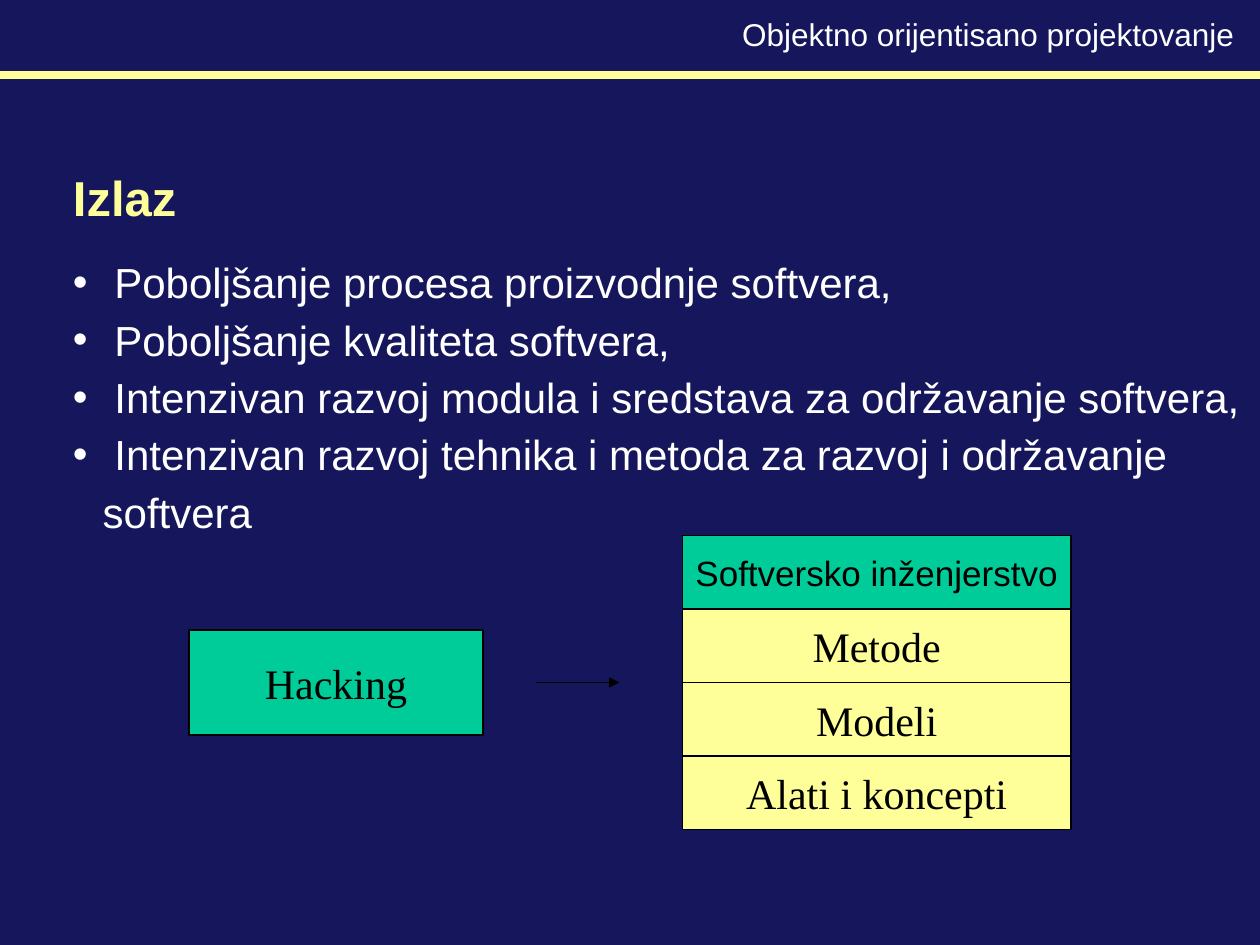
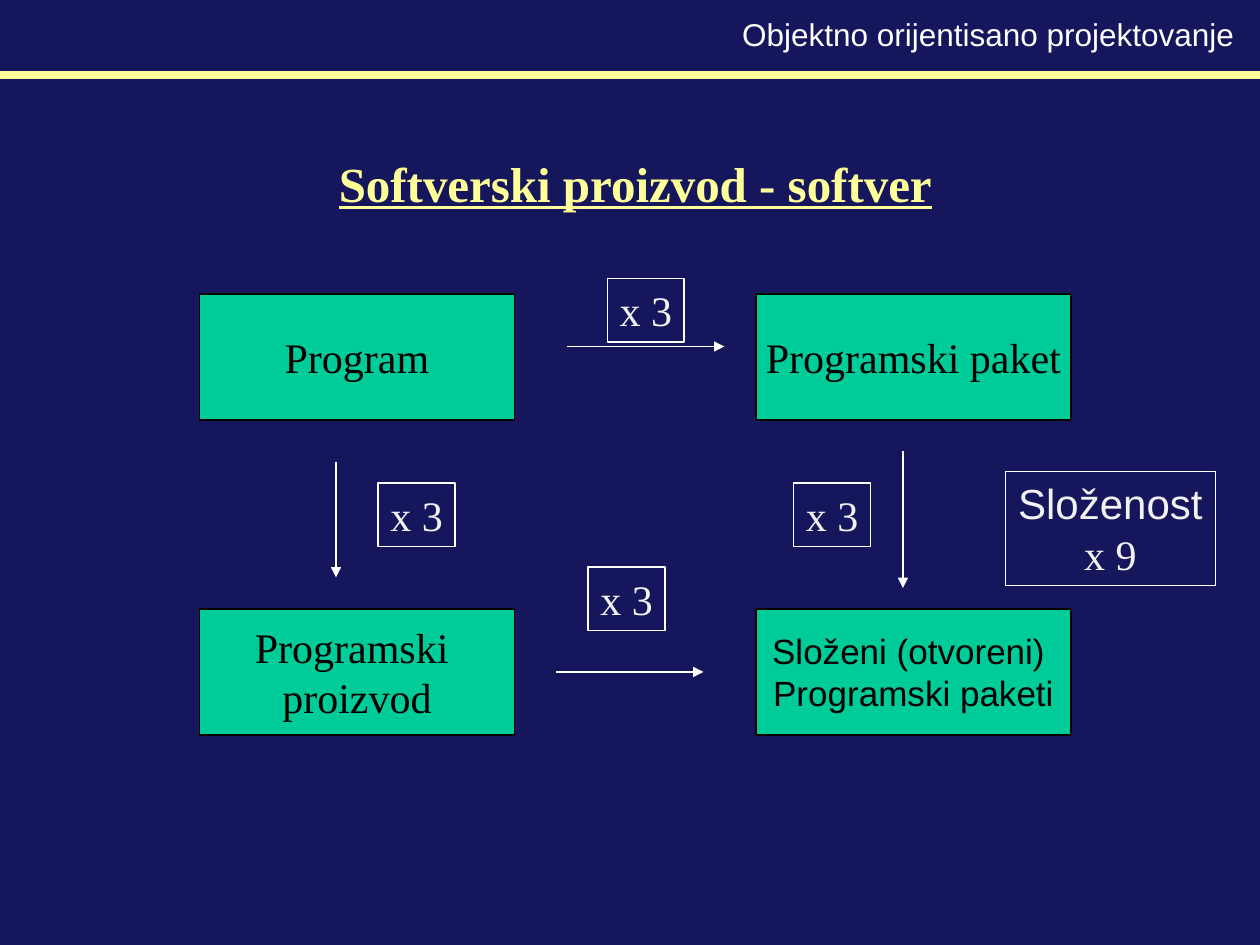
from itertools import product

from lxml import etree
from pptx import Presentation
from pptx.dml.color import RGBColor
from pptx.enum import shapes, text
from pptx.oxml.ns import qn
from pptx.util import Pt

NAVY = RGBColor(0x16, 0x16, 0x5D)
CREAM = RGBColor(0xFF, 0xFF, 0x99)
GREEN = RGBColor(0x00, 0xCC, 0x99)
WHITE = RGBColor(0xFF, 0xFF, 0xFF)
PALE = RGBColor(0xF2, 0xF2, 0xF2)
BLACK = RGBColor(0x00, 0x00, 0x00)
SANS, SERIF = "Arial", "Times New Roman"
LEFT, MID = text.PP_ALIGN.LEFT, text.PP_ALIGN.CENTER
TOP, HALF = text.MSO_ANCHOR.TOP, text.MSO_ANCHOR.MIDDLE
WIDE, HIGH = 720, 540

# Content
COURSE = "Objektno orijentisano projektovanje"
EXIT = "Izlaz"
GOALS = [
    " Poboljšanje procesa proizvodnje softvera,",
    " Poboljšanje kvaliteta softvera,",
    " Intenzivan razvoj modula i sredstava za održavanje softvera,",
    " Intenzivan razvoj tehnika i metoda za razvoj i održavanje softvera",
]
HACK = "Hacking"
FIELD = "Softversko inženjerstvo"
LAYERS = ["Metode", "Modeli", "Alati i koncepti"]

PRODUCT = "Softverski proizvod - softver"
STAGES = [  # row by row: lines, face, size
    (["Program"], SERIF, 24),
    (["Programski paket"], SERIF, 24),
    (["Programski ", "proizvod"], SERIF, 24),
    (["Složeni (otvoreni) ", "Programski paketi"], SANS, 20),
]
STEPS = [  # arrow start, arrow end, corner of its label
    ((324, 198), (414, 198), (347, 159)),
    ((318, 384), (402, 384), (336, 324)),
    ((192, 264), (192, 330), (216, 276)),
    ((516, 258), (516, 336), (453.5, 276)),
]
FACTOR = "x 3"
TOTAL = ["Složenost", "x 9"]


def write(shape, lines, size=24, face=SERIF, color=BLACK, bold=False,
          under=False, align=MID, anchor=HALF, wrap=False, space=None):
    """Fill a shape with paragraphs; face is one font or one font per line."""
    lines = [lines] if isinstance(lines, str) else lines
    faces = [face] * len(lines) if isinstance(face, str) else face
    frame = shape.text_frame
    frame.word_wrap = wrap
    frame.auto_size = text.MSO_AUTO_SIZE.NONE
    frame.vertical_anchor = anchor
    for i, (line, name) in enumerate(zip(lines, faces)):
        para = frame.add_paragraph() if i else frame.paragraphs[0]
        para.alignment = align
        para.space_before = Pt(0)
        para.line_spacing = space
        run = para.add_run()
        run.text = line
        font = run.font
        font.size, font.name, font.bold = Pt(size), name, bold
        font.underline = under
        font.color.rgb = color


def place(shape, x, y, w, h):
    shape.left, shape.top, shape.width, shape.height = map(Pt, (x, y, w, h))
    return shape


def box(slide, spot, lines, fill=None, edge=BLACK, **style):
    shape = slide.shapes.add_shape(shapes.MSO_SHAPE.RECTANGLE, *map(Pt, spot))
    shape.shadow.inherit = False
    if fill is None:
        shape.fill.background()
    else:
        shape.fill.solid()
        shape.fill.fore_color.rgb = fill
    shape.line.color.rgb = edge
    shape.line.width = Pt(0.75)
    write(shape, lines, **style)


def line(slide, start, end, color, width=0.75, arrow=True):
    link = slide.shapes.add_connector(
        shapes.MSO_CONNECTOR.STRAIGHT, *map(Pt, start + end))
    link.line.color.rgb = color
    link.line.width = Pt(width)
    if arrow:
        tail = etree.SubElement(link.line._get_or_add_ln(), qn("a:tailEnd"))
        tail.set("type", "triangle")
    etree.SubElement(link._element.spPr, qn("a:effectLst"))


def start(deck, kind, title, spot, **style):
    """Add a slide with the course header, its rule and a title."""
    slide = deck.slides.add_slide(deck.slide_layouts[kind])
    write(place(slide.shapes.title, *spot), title, size=28, color=CREAM,
          bold=True, anchor=TOP, **style)
    head = slide.shapes.add_textbox(Pt(417), Pt(5), Pt(295), Pt(29))
    write(head, COURSE, size=18, face=SANS, color=WHITE, align=LEFT, anchor=TOP)
    line(slide, (WIDE, 43), (0, 43), CREAM, width=4.5, arrow=False)
    return slide


def outcome(deck):
    slide = start(deck, 1, EXIT, (34.5, 92, 680, 41), face=SANS, align=LEFT)
    body = place(slide.placeholders[1], 34.5, 139, WIDE - 34.5, 165)
    write(body, GOALS, face=SANS, color=WHITE, align=LEFT, anchor=TOP,
          wrap=True, space=1.14)
    for para in body.text_frame.paragraphs:
        props = para._p.get_or_add_pPr()
        props.set("marL", str(Pt(17)))
        props.set("indent", str(-Pt(17)))

    box(slide, (108, 360, 168, 60), HACK, GREEN)
    line(slide, (306, 390), (354, 390), BLACK)
    x, y, w, h = 390, 306, 222, 42
    box(slide, (x, y, w, h), FIELD, GREEN, size=20, face=SANS)
    for i, layer in enumerate(LAYERS, 1):
        box(slide, (x, y + i * h, w, h), layer, CREAM)


def growth(deck):
    slide = start(deck, 5, PRODUCT, (186, 84, 354, 41), under=True)
    for (y, x), (lines, face, size) in zip(product((168, 348), (114, 432)), STAGES):
        box(slide, (x, y, 180, 72), lines, GREEN, face=face, size=size)
    for tail, tip, spot in STEPS:
        line(slide, tail, tip, WHITE)
        box(slide, (*spot, 44, 36.5), FACTOR, edge=WHITE, color=PALE,
            align=LEFT, anchor=TOP)
    box(slide, (574.5, 269.5, 120, 65), TOTAL, edge=WHITE, color=PALE,
        face=(SANS, SERIF), anchor=TOP)


def main():
    deck = Presentation()
    deck.slide_width, deck.slide_height = Pt(WIDE), Pt(HIGH)
    back = deck.slide_master.background.fill
    back.solid()
    back.fore_color.rgb = NAVY
    outcome(deck)
    growth(deck)
    deck.save("out.pptx")


if __name__ == "__main__":
    main()
